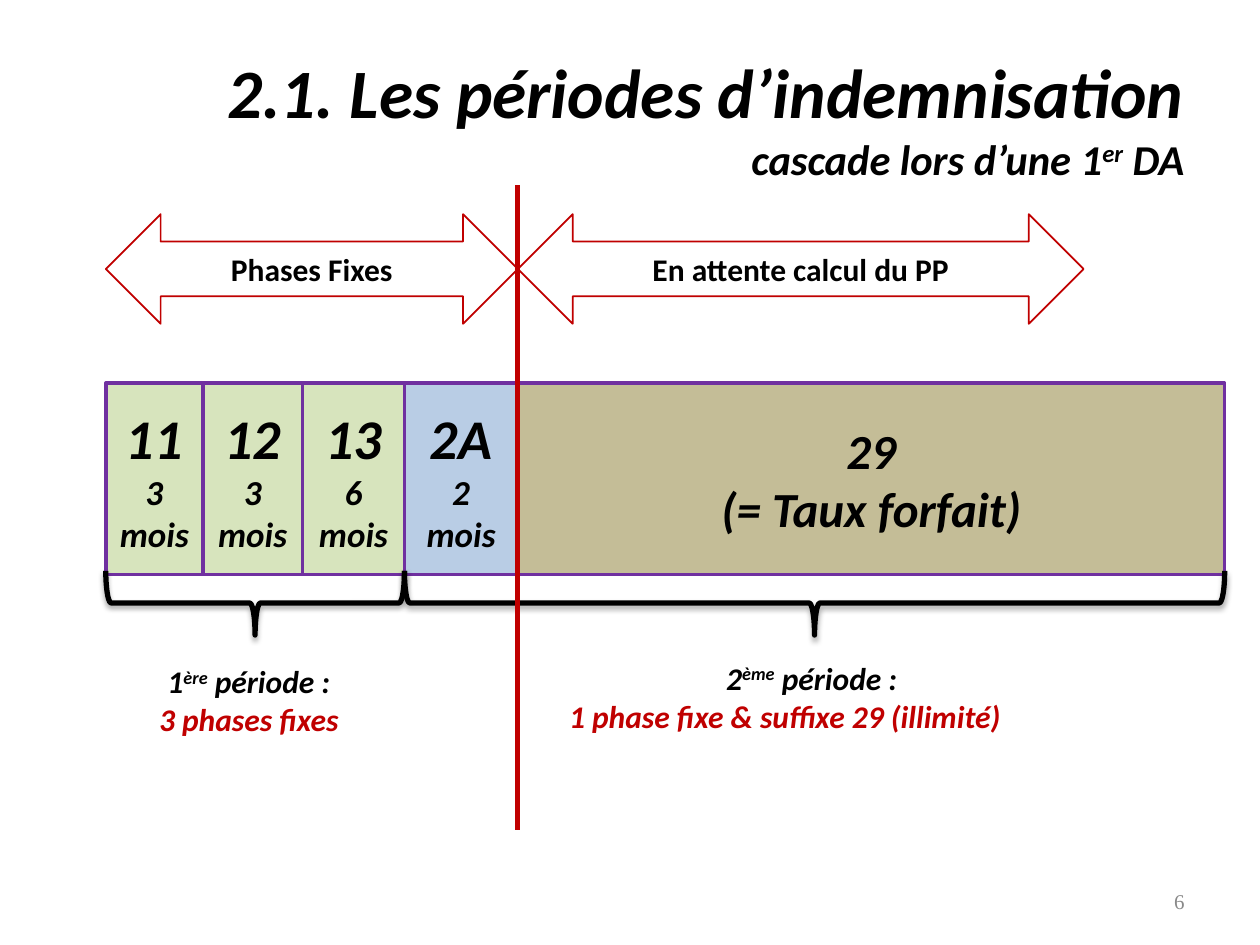
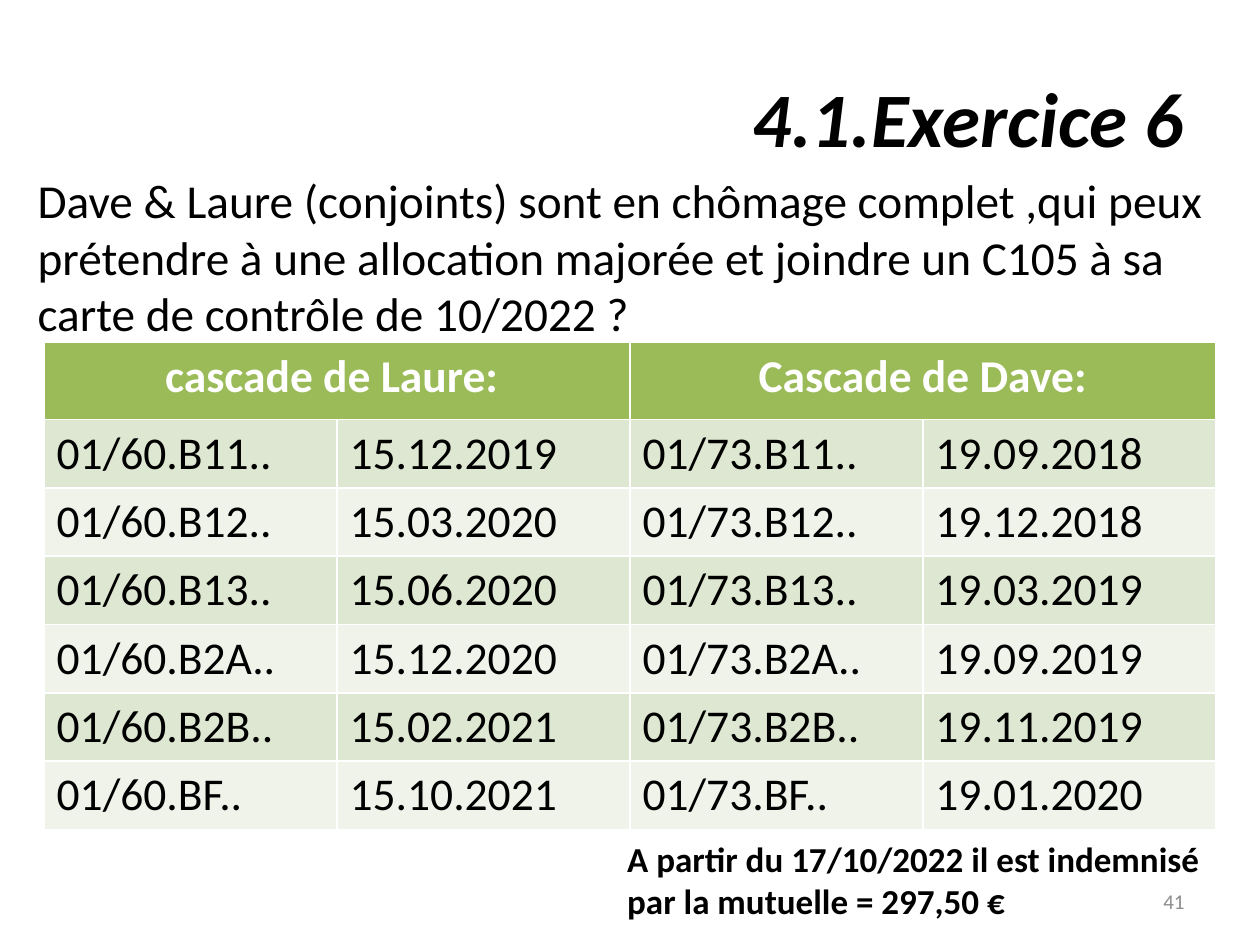
from copy import deepcopy

from lxml.etree import SubElement
from pptx import Presentation
from pptx.dml.color import RGBColor
from pptx.enum.shapes import MSO_CONNECTOR, MSO_SHAPE
from pptx.enum.text import MSO_ANCHOR, MSO_AUTO_SIZE, PP_ALIGN
from pptx.oxml import parse_xml
from pptx.oxml.ns import nsdecls, qn
from pptx.util import Emu, Pt

PX = 9144  # 100 px to the inch
FONT = "Calibri"
BLACK, WHITE, RED, PURPLE = "000000", "FFFFFF", "C00000", "7030A0"
GREEN, BLUE, SAND = "D7E4BD", "B9CDE5", "C4BD97"
HEADER_GREEN, ROW_TINTS = "9BBB59", ("DEE7D1", "EFF3EA")
LEFT, CENTER, RIGHT = PP_ALIGN.LEFT, PP_ALIGN.CENTER, PP_ALIGN.RIGHT
HEADING = {"bold": True, "italic": True}

CASCADES = {
    "cascade de Laure: ": [
        ("01/60.B11..", "15.12.2019"), ("01/60.B12..", "15.03.2020"),
        ("01/60.B13..", "15.06.2020"), ("01/60.B2A..", "15.12.2020"),
        ("01/60.B2B..", "15.02.2021"), ("01/60.BF..", "15.10.2021")],
    "Cascade de Dave:": [
        ("01/73.B11..", "19.09.2018"), ("01/73.B12..", "19.12.2018"),
        ("01/73.B13..", "19.03.2019"), ("01/73.B2A..", "19.09.2019"),
        ("01/73.B2B..", "19.11.2019"), ("01/73.BF..", "19.01.2020")],
}


def px(*lengths):
    return [Emu(length * PX) for length in lengths]


def rgb(value):
    return RGBColor.from_string(value)


def add_run(paragraph, text, size, color=BLACK, bold=False, italic=False,
            font=FONT, raised=False):
    run = paragraph.add_run()
    run.text = text
    run.font.name, run.font.size = font, Pt(size)
    run.font.bold, run.font.italic = bold, italic
    run.font.color.rgb = rgb(color)
    if raised:
        run.font._element.set("baseline", "30000")
    return run


def write(frame, paragraphs, align, **style):
    """Each paragraph is a list of (text, style overrides) runs."""
    for index, runs in enumerate(paragraphs):
        paragraph = frame.add_paragraph() if index else frame.paragraphs[0]
        paragraph.alignment = align
        for text, changes in runs:
            add_run(paragraph, text, **{**style, **changes})


def break_line(paragraph):
    """Add a line break as tall as the run before it."""
    properties = paragraph.runs[-1].font._element
    paragraph.add_line_break()
    paragraph._p[-1].append(deepcopy(properties))


def add_title(slide, text, size, subtitle=(), subtitle_size=0):
    title = slide.shapes.title
    title.left, title.top, title.width, title.height = px(50, 30, 900, 125)
    frame = title.text_frame
    frame.auto_size = MSO_AUTO_SIZE.NONE
    frame.vertical_anchor = MSO_ANCHOR.MIDDLE
    write(frame, [[(text, {})]], RIGHT, size=size, **HEADING)
    if subtitle:
        paragraph = frame.paragraphs[0]
        break_line(paragraph)
        write(frame, [subtitle], RIGHT, size=subtitle_size, **HEADING)


def add_text(slide, box, paragraphs, align=LEFT, anchor=MSO_ANCHOR.TOP, **style):
    frame = slide.shapes.add_textbox(*px(*box)).text_frame
    frame.word_wrap = True
    frame.vertical_anchor = anchor
    write(frame, paragraphs, align, **style)
    return frame


def add_page_number(slide, number, color, font=FONT):
    add_text(slide, (717, 695, 233, 40), [[(number, {})]], RIGHT,
             MSO_ANCHOR.MIDDLE, size=12, color=color, font=font)


def add_outlined(slide, kind, box, line, width, fill=None):
    shape = slide.shapes.add_shape(kind, *px(*box))
    shape.shadow.inherit = False
    shape.line.color.rgb, shape.line.width = rgb(line), Pt(width)
    if fill:
        shape.fill.solid()
        shape.fill.fore_color.rgb = rgb(fill)
    else:
        shape.fill.background()
    return shape


def add_phase(slide, left, width, fill, code, note, code_size, note_size):
    phase = add_outlined(slide, MSO_SHAPE.RECTANGLE, (left, 304, width, 152),
                         PURPLE, 2, fill)
    write(phase.text_frame, [[(code, {"size": code_size})],
                             [(note, {"size": note_size})]], CENTER, **HEADING)


def add_span_arrow(slide, left, width, label):
    arrow = add_outlined(slide, MSO_SHAPE.LEFT_RIGHT_ARROW,
                         (left, 170, width, 87), RED, 1)
    write(arrow.text_frame, [[(label, {})]], CENTER, size=18, bold=True)


def add_brace_below(slide, left, width, top=453, depth=51):
    """Turn a left brace so that it opens upwards over the given width."""
    shift = (width - depth) // 2
    brace = add_outlined(slide, MSO_SHAPE.LEFT_BRACE,
                         (left + shift, top - shift, depth, width), BLACK, 3)
    brace.rotation = 270
    effects = brace._element.spPr.find(qn("a:effectLst"))
    effects.append(parse_xml(
        f'<a:outerShdw {nsdecls("a")} blurRad="{Pt(3.1)}" dist="{Pt(1.8)}" '
        'dir="5400000" rotWithShape="0"><a:srgbClr val="000000">'
        '<a:alpha val="35000"/></a:srgbClr></a:outerShdw>'))


def add_period(slide, box, rank, suffix, period, summary):
    return add_text(slide, box, [
        [(rank, {}), (suffix, {"raised": True}), (period, {})],
        [(summary, {"color": RED})],
    ], CENTER, MSO_ANCHOR.MIDDLE, size=18, **HEADING)


def add_divider(slide, x, top, bottom):
    divider = slide.shapes.add_connector(MSO_CONNECTOR.STRAIGHT,
                                         *px(x, top, x, bottom))
    divider.line.color.rgb, divider.line.width = rgb(RED), Pt(3)
    SubElement(divider._element.spPr, qn("a:effectLst"))


def fill_cell(cell, text, fill, align=LEFT, **style):
    cell.fill.solid()
    cell.fill.fore_color.rgb = rgb(fill)
    write(cell.text_frame, [[(text, {})]], align, size=26, **style)


def add_cascades(slide):
    rows = 1 + len(next(iter(CASCADES.values())))
    table = slide.shapes.add_table(rows, 2 * len(CASCADES),
                                   *px(35, 272, 930, 381)).table
    for index, row in enumerate(table.rows):
        row.height = Emu((53 if index else 61) * PX)
    for person, (heading, steps) in enumerate(CASCADES.items()):
        first = 2 * person
        table.cell(0, first).merge(table.cell(0, first + 1))
        fill_cell(table.cell(0, first), heading, HEADER_GREEN, CENTER,
                  color=WHITE, bold=True)
        for row, step in enumerate(steps, 1):
            for offset, text in enumerate(step):
                fill_cell(table.cell(row, first + offset), text,
                          ROW_TINTS[(row - 1) % 2])


def build_periods(slide):
    add_title(slide, "2.1. Les périodes d’indemnisation", 39.6,
              [("cascade lors d’une 1", {}), ("er", {"raised": True}),
               (" DA", {})], 24.3)
    add_page_number(slide, "6", "898989", "Times New Roman")

    start = left = 84
    starts = {}
    for width, fill, code, note, *sizes in (
            (77, GREEN, "11", "3 mois", 32, 20),
            (79, GREEN, "12", "3 mois", 32, 20),
            (81, GREEN, "13", "6 mois", 32, 20),
            (90, BLUE, "2A", "2 mois", 32, 20),
            (561, SAND, "29", "(= Taux forfait)", 28, 28)):
        starts[code] = left
        add_phase(slide, left, width, fill, code, note, *sizes)
        left += width
    end, second, forfait = left, starts["2A"], starts["29"]

    add_brace_below(slide, start, second - start)
    add_brace_below(slide, second, end - second)
    add_period(slide, (32, 531, 331, 49), "1", "ère", " période :",
               "3 phases fixes")
    second_period = add_period(slide, (438, 503, 418, 100), "2", "ème",
                               " période : ",
                               "1 phase fixe & suffixe 29 (illimité)")
    summary = second_period.paragraphs[1]
    summary._p.get_or_add_pPr().set("marR", str(48 * PX))

    add_divider(slide, forfait, 147, 659)
    add_span_arrow(slide, start, forfait - start, "Phases Fixes")
    add_span_arrow(slide, forfait, 449, "En attente calcul du PP")


def build_exercise(slide):
    add_title(slide, "4.1.Exercice 6", 44)
    add_cascades(slide)
    add_page_number(slide, "41", "8C8C8C")
    add_text(slide, (20, 131, 961, 146), [[(
        "Dave & Laure (conjoints) sont en chômage complet ,qui peux prétendre "
        "à une allocation majorée et joindre un C105 à sa carte de contrôle "
        "de 10/2022 ?", {})]], size=27)
    add_text(slide, (488, 660, 477, 77), [
        [("A partir du 17/10/2022 il est indemnisé", {})],
        [("par la mutuelle = 297,50 €", {})]], size=20, bold=True)


def main():
    deck = Presentation()
    deck.slide_width, deck.slide_height = px(1000, 750)
    title_only = deck.slide_layouts[5]
    for build in (build_periods, build_exercise):
        build(deck.slides.add_slide(title_only))
    deck.save("out.pptx")


if __name__ == "__main__":
    main()
